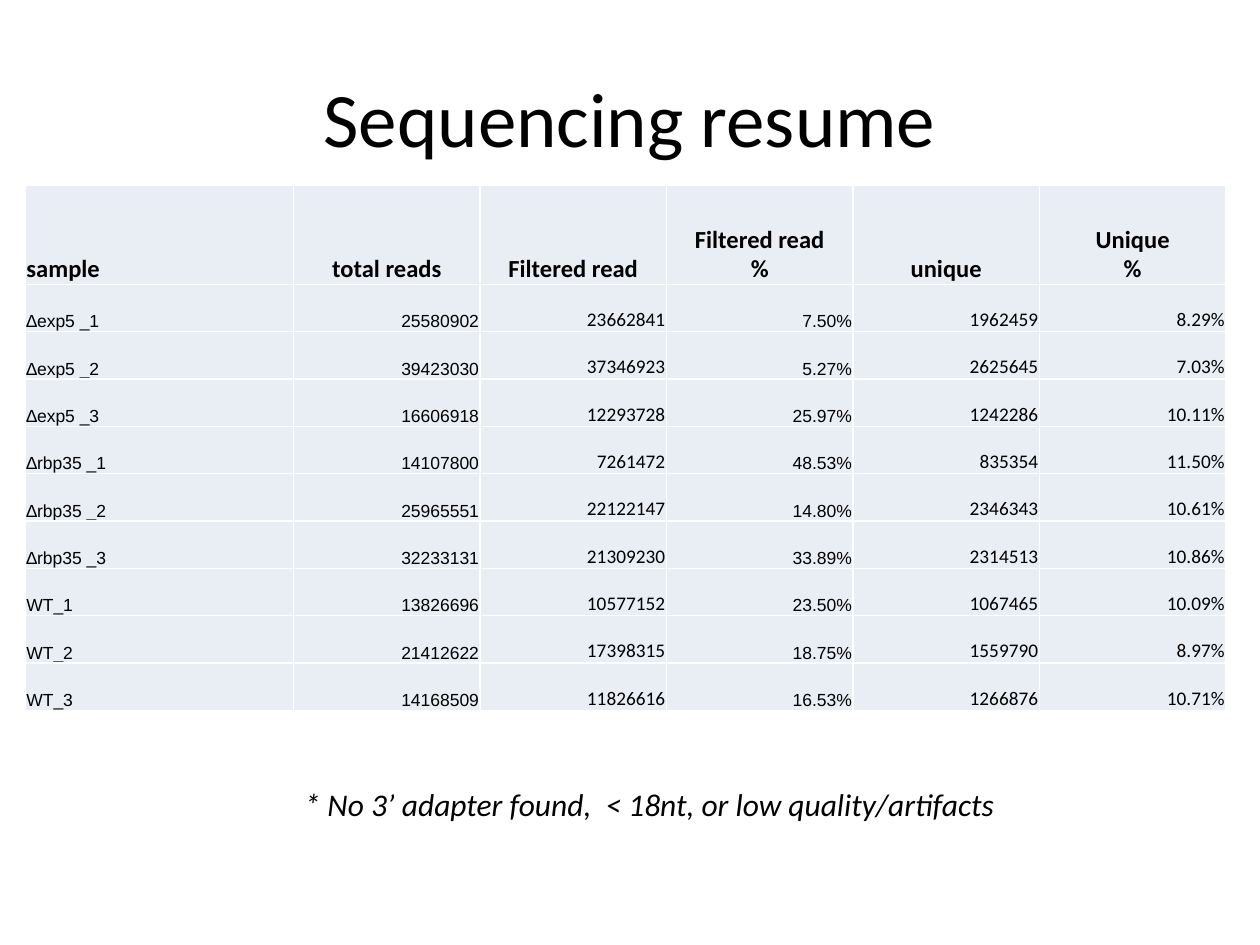
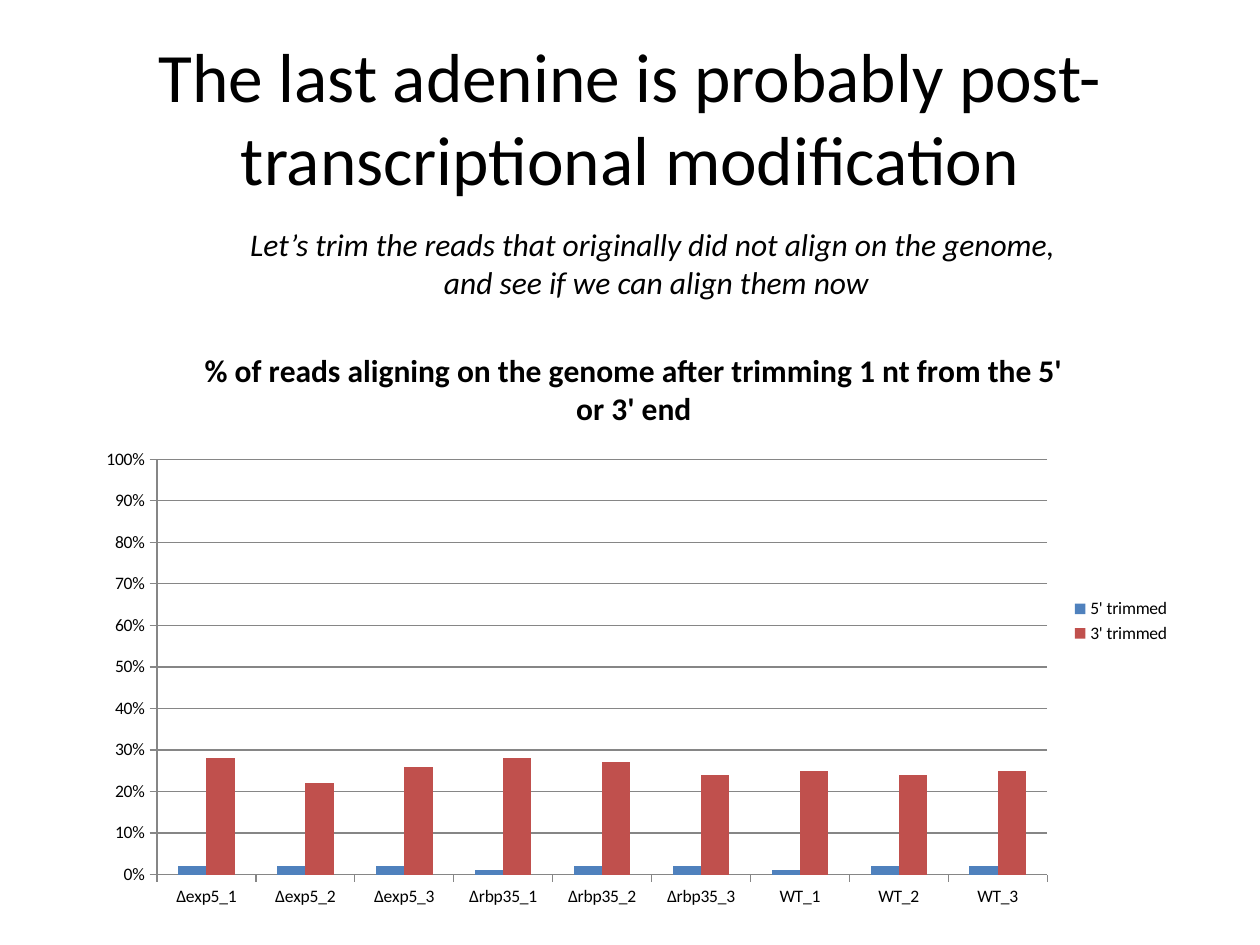
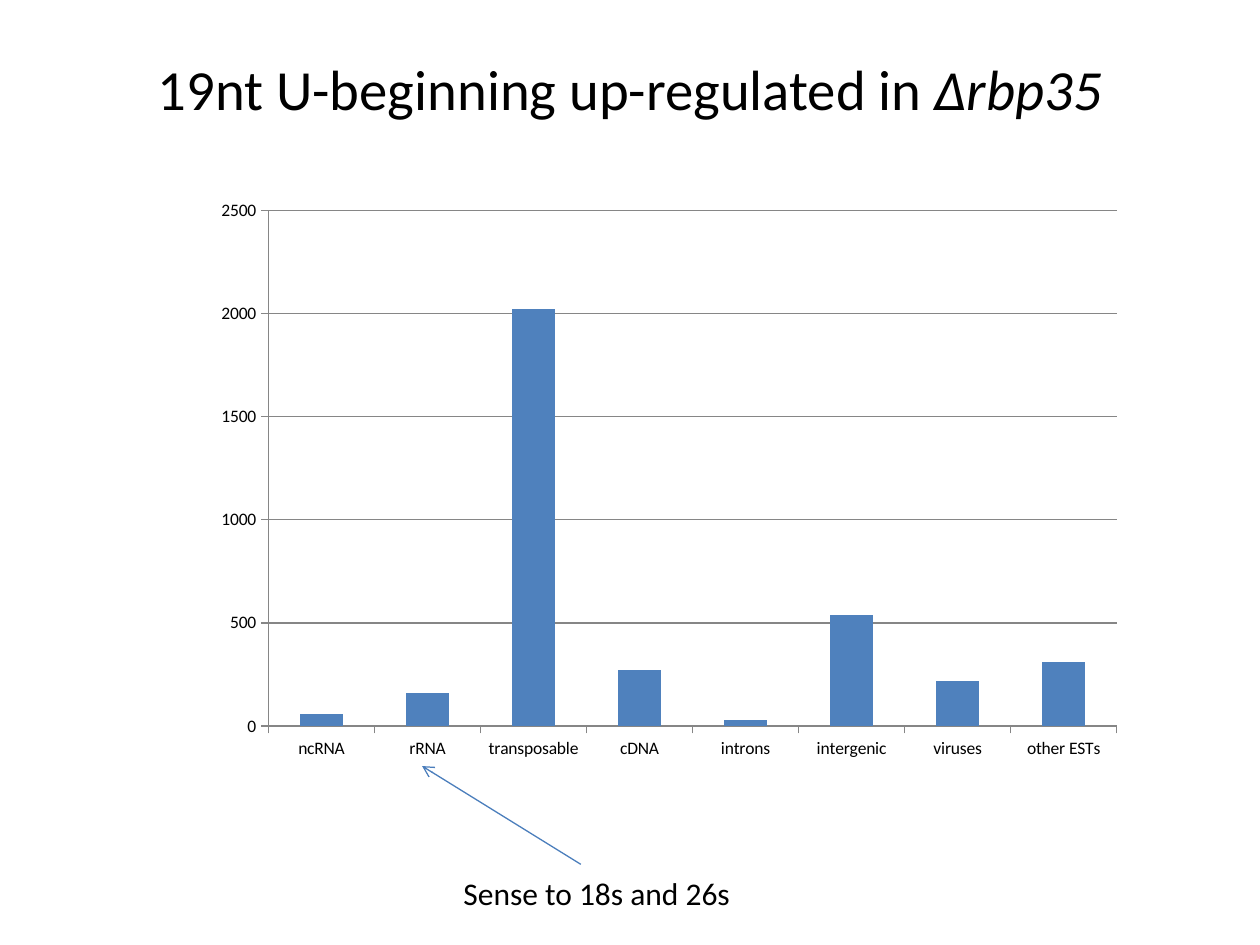
import dataclasses

import pptx
import pptx.chart.data
import pptx.dml.color
import pptx.enum.chart
import pptx.enum.shapes
import pptx.enum.text
import pptx.oxml
import pptx.oxml.ns
import pptx.util

SLIDE_WIDTH = pptx.util.Inches(10)
SLIDE_HEIGHT = pptx.util.Inches(7.5)
GRID_COLUMNS, GRID_ROWS = 100, 75
TITLE_ONLY_LAYOUT = 5

BODY_FONT, DATA_FONT = "Calibri", "Arial"
BLACK, WHITE = "000000", "FFFFFF"
CELL_FILL = "E9EDF4"
BLUE, RED = "4F81BD", "C0504D"
ARROW_BLUE, AXIS_GREY = "4B7EBC", "868686"
NOTE_SIZE = 18

ALIGN = pptx.enum.text.PP_ALIGN
ANCHOR = pptx.enum.text.MSO_ANCHOR
AUTO_SIZE = pptx.enum.text.MSO_AUTO_SIZE

READ_HEADINGS = [["sample"], ["total reads"], ["Filtered read"],
                 ["Filtered read", "%"], ["unique"], ["Unique", "%"]]
READ_ROWS = [
    ["∆exp5 _1", "25580902", "23662841", "7.50%", "1962459", "8.29%"],
    ["∆exp5 _2", "39423030", "37346923", "5.27%", "2625645", "7.03%"],
    ["∆exp5 _3", "16606918", "12293728", "25.97%", "1242286", "10.11%"],
    ["∆rbp35 _1", "14107800", "7261472", "48.53%", "835354", "11.50%"],
    ["∆rbp35 _2", "25965551", "22122147", "14.80%", "2346343", "10.61%"],
    ["∆rbp35 _3", "32233131", "21309230", "33.89%", "2314513", "10.86%"],
    ["WT_1", "13826696", "10577152", "23.50%", "1067465", "10.09%"],
    ["WT_2", "21412622", "17398315", "18.75%", "1559790", "8.97%"],
    ["WT_3", "14168509", "11826616", "16.53%", "1266876", "10.71%"],
]
ARIAL_COLUMNS = (0, 1, 3)


@dataclasses.dataclass
class Box:
    """A region in grid columns and rows."""
    left: float
    top: float
    width: float
    height: float

    def inner(self, left, top, width, height):
        return Box(self.left + left, self.top + top, width, height)

    def lengths(self):
        return across(self.left), down(self.top), across(self.width), down(self.height)


TITLE_BOX = Box(5, 3, 90, 12.5)


def across(columns):
    return int(SLIDE_WIDTH * columns / GRID_COLUMNS)


def down(rows):
    return int(SLIDE_HEIGHT * rows / GRID_ROWS)


def colour(value):
    return pptx.dml.color.RGBColor.from_string(value)


def style_font(font, size, name=BODY_FONT, bold=False, italic=False):
    font.name = name
    font.size = pptx.util.Pt(size)
    font.bold = bold
    font.italic = italic
    font.color.rgb = colour(BLACK)


def write_run(paragraph, text, size, **style):
    run = paragraph.add_run()
    run.text = text
    style_font(run.font, size, **style)


def write_lines(frame, lines, alignment, size, **style):
    for index, line in enumerate(lines):
        paragraph = frame.add_paragraph() if index else frame.paragraphs[0]
        paragraph.alignment = alignment
        write_run(paragraph, line, size, **style)


def add_titled_slide(presentation, size, text, italic_ending="", bottom_inset=0.5):
    slide = presentation.slides.add_slide(presentation.slide_layouts[TITLE_ONLY_LAYOUT])
    title = slide.shapes.title
    title.left, title.top, title.width, title.height = TITLE_BOX.lengths()
    frame = title.text_frame
    frame.auto_size = AUTO_SIZE.NONE
    frame.vertical_anchor = ANCHOR.MIDDLE
    frame.margin_bottom = down(bottom_inset)
    write_lines(frame, [text], ALIGN.CENTER, size)
    if italic_ending:
        write_run(frame.paragraphs[0], italic_ending, size, italic=True)
    return slide


def add_note(slide, box, lines, alignment=ALIGN.LEFT, italic=False):
    frame = slide.shapes.add_textbox(*box.lengths()).text_frame
    frame.word_wrap = False
    frame.auto_size = AUTO_SIZE.SHAPE_TO_FIT_TEXT
    write_lines(frame, lines, alignment, NOTE_SIZE, italic=italic)


def add_cell_borders(cell):
    properties = cell._tc.get_or_add_tcPr()
    namespace = pptx.oxml.ns.nsdecls("a")
    for index, side in enumerate(("lnL", "lnR", "lnT", "lnB")):
        properties.insert(index, pptx.oxml.parse_xml(
            f'<a:{side} {namespace} w="12700"><a:solidFill>'
            f'<a:srgbClr val="{WHITE}"/></a:solidFill></a:{side}>'))


def fill_cell(cell, lines, alignment, size, **style):
    cell.fill.solid()
    cell.fill.fore_color.rgb = colour(CELL_FILL)
    cell.vertical_anchor = ANCHOR.BOTTOM
    cell.margin_left = cell.margin_right = cell.margin_top = across(0.1)
    cell.margin_bottom = 0
    add_cell_borders(cell)
    write_lines(cell.text_frame, lines, alignment, size, **style)


def add_read_table(slide, box, sample_width=21.3, heading_height=7.87):
    row_count, column_count = len(READ_ROWS) + 1, len(READ_HEADINGS)
    table = slide.shapes.add_table(row_count, column_count, *box.lengths()).table
    table.first_row = table.horz_banding = False
    for index, column in enumerate(table.columns):
        number_width = (box.width - sample_width) / (column_count - 1)
        column.width = across(number_width if index else sample_width)
    for index, row in enumerate(table.rows):
        sample_height = (box.height - heading_height) / (row_count - 1)
        row.height = down(sample_height if index else heading_height)

    for column, lines in enumerate(READ_HEADINGS):
        alignment = ALIGN.CENTER if column else ALIGN.LEFT
        fill_cell(table.cell(0, column), lines, alignment, 14, bold=True)
    for row, values in enumerate(READ_ROWS, start=1):
        for column, value in enumerate(values):
            size, name = (10, DATA_FONT) if column in ARIAL_COLUMNS else (11, BODY_FONT)
            alignment = ALIGN.RIGHT if column else ALIGN.LEFT
            fill_cell(table.cell(row, column), [value], alignment, size, name=name)


def style_line(line):
    line.color.rgb = colour(AXIS_GREY)
    line.width = pptx.util.Pt(0.75)


def add_column_chart(slide, box, categories, series, number_format="General",
                     maximum=None, step=None, title=None):
    """Draw clustered columns; series holds (name, colour, values)."""
    data = pptx.chart.data.CategoryChartData(number_format=number_format)
    data.categories = categories
    for name, _, values in series:
        data.add_series(name, values)
    chart = slide.shapes.add_chart(
        pptx.enum.chart.XL_CHART_TYPE.COLUMN_CLUSTERED, *box.lengths(), data).chart
    style_font(chart.font, 10)

    chart.has_title = title is not None
    if title:
        write_lines(chart.chart_title.text_frame, [title], ALIGN.CENTER, 18, bold=True)
    chart.has_legend = len(series) > 1
    if chart.has_legend:
        chart.legend.position = pptx.enum.chart.XL_LEGEND_POSITION.RIGHT
        chart.legend.include_in_layout = False

    plot = chart.plots[0]
    plot.gap_width = 150
    plot.overlap = 0
    plot.vary_by_categories = False
    for columns, (_, fill, _) in zip(plot.series, series):
        columns.format.fill.solid()
        columns.format.fill.fore_color.rgb = colour(fill)

    for axis in (chart.category_axis, chart.value_axis):
        axis.major_tick_mark = pptx.enum.chart.XL_TICK_MARK.OUTSIDE
        style_line(axis.format.line)
    values_axis = chart.value_axis
    values_axis.minimum_scale = 0
    values_axis.maximum_scale = maximum
    values_axis.major_unit = step
    values_axis.tick_labels.number_format = number_format
    values_axis.tick_labels.number_format_is_linked = False
    values_axis.has_major_gridlines = True
    style_line(values_axis.major_gridlines.format.line)


def add_arrow(slide, start, end):
    arrow = slide.shapes.add_connector(
        pptx.enum.shapes.MSO_CONNECTOR.STRAIGHT,
        across(start.left), down(start.top), across(end.left), down(end.top))
    arrow.line.color.rgb = colour(ARROW_BLUE)
    arrow.line.width = pptx.util.Pt(0.75)
    namespace = pptx.oxml.ns.nsdecls("a")
    arrow.line._get_or_add_ln().append(
        pptx.oxml.parse_xml(f'<a:tailEnd {namespace} type="arrow"/>'))
    arrow._element.spPr.append(pptx.oxml.parse_xml(f"<a:effectLst {namespace}/>"))


def add_sequencing_slide(presentation, box):
    slide = add_titled_slide(presentation, 44, "Sequencing resume")
    add_read_table(slide, box.inner(0, 0, box.width, 41.7))
    add_note(slide, box.inner(21.2, 47.1, 58, 4),
             ["* No 3’ adapter found,  < 18nt, or low quality/artifacts"], italic=True)


def add_trimming_slide(presentation, box):
    slide = add_titled_slide(
        presentation, 39.6, "The last adenine is probably post-transcriptional modification")
    add_note(slide, box.inner(11.8, 0, 67.2, 7.1),
             ["Let’s trim the reads that originally did not align on the genome, ",
              "and see if we can align them now"], ALIGN.CENTER, italic=True)
    samples = [f"{strain}_{replicate}" for strain in ("∆exp5", "∆rbp35", "WT")
               for replicate in (1, 2, 3)]
    add_column_chart(
        slide, box.inner(0, 8.3, box.width, 47.2), samples,
        [("5' trimmed", BLUE, [0.02, 0.02, 0.02, 0.01, 0.02, 0.02, 0.01, 0.02, 0.02]),
         ("3' trimmed", RED, [0.28, 0.22, 0.26, 0.28, 0.27, 0.24, 0.25, 0.24, 0.25])],
        number_format="0%", maximum=1, step=0.1,
        title="% of reads aligning on the genome after trimming 1 nt from the 5' or 3' end")


def add_regulation_slide(presentation, box):
    slide = add_titled_slide(presentation, 32.4, "19nt U-beginning up-regulated in ",
                             italic_ending="∆rbp35", bottom_inset=5)
    add_arrow(slide, box.inner(30, 53.6, 0, 0), box.inner(17.4, 45.8, 0, 0))
    add_note(slide, box.inner(19.7, 53.9, 23.4, 4), ["Sense to 18s and 26s"])
    add_column_chart(
        slide, box.inner(0, 0, box.width, 46.1),
        ["ncRNA", "rRNA", "transposable", "cDNA",
         "introns", "intergenic", "viruses", "other ESTs"],
        [("Series 1", BLUE, [60, 160, 2020, 270, 30, 540, 220, 310])],
        maximum=2500, step=500)


def main():
    presentation = pptx.Presentation()
    presentation.slide_width = SLIDE_WIDTH
    presentation.slide_height = SLIDE_HEIGHT
    add_sequencing_slide(presentation, Box(2, 14.7, 95.3, 51.1))
    add_trimming_slide(presentation, Box(6.7, 17.4, 87.2, 55.5))
    add_regulation_slide(presentation, Box(16.1, 15, 74, 57.9))
    presentation.save("out.pptx")


if __name__ == "__main__":
    main()
